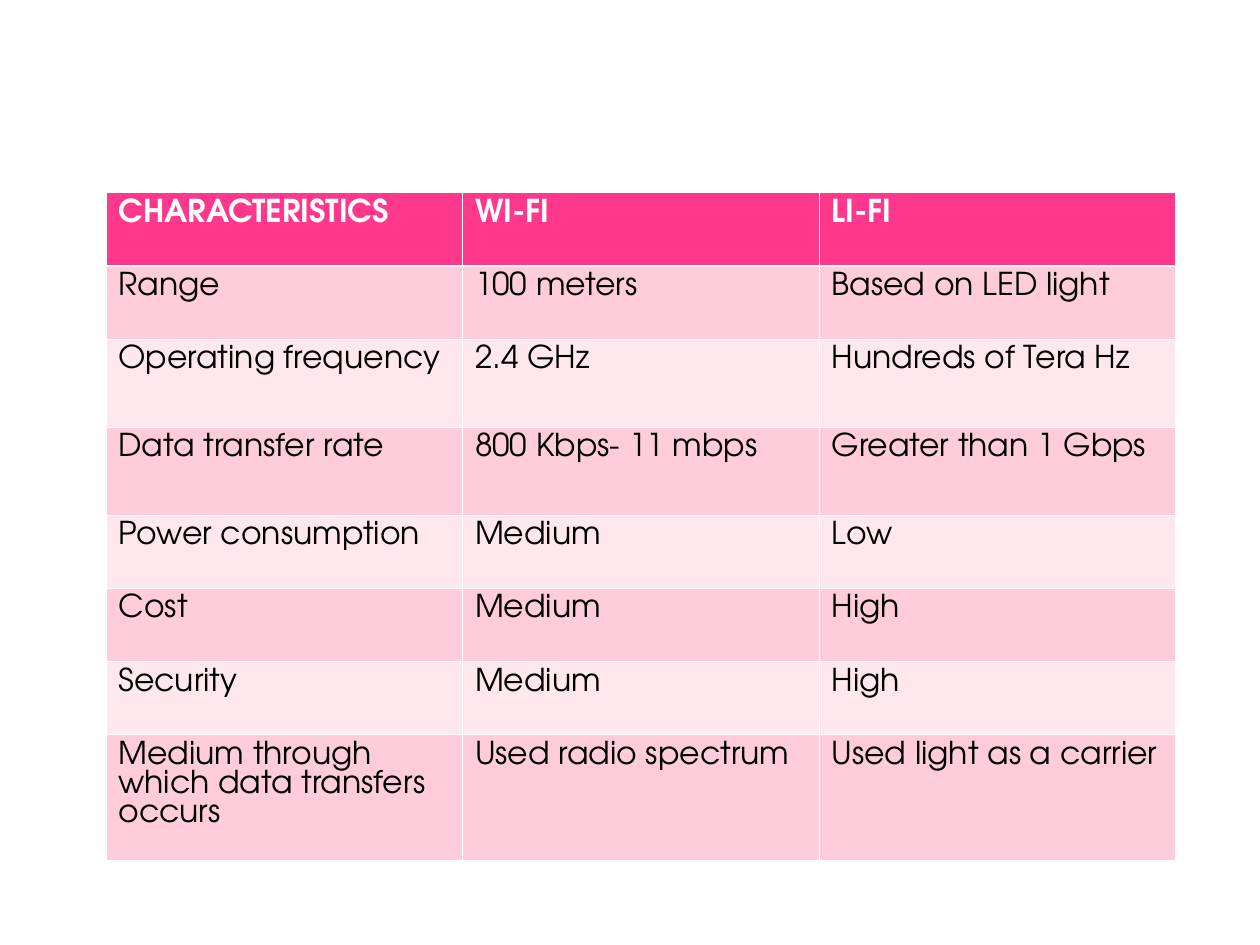
import pptx
import pptx.dml.color
import pptx.util
from dataclasses import dataclass
from lxml import etree
from pptx.oxml.ns import qn

Inches = pptx.util.Inches


@dataclass(frozen=True)
class Theme:
    font: str = "TeX Gyre Adventor"
    size: float = 18
    header_fill: str = "FF388C"
    band_fills: tuple = ("FFCDDA", "FFE8ED")
    header_text: str = "FFFFFF"
    body_text: str = "000000"
    border: str = "FFFFFF"
    thin: float = 0.45
    thick: float = 1.47


class SlideBuilder:
    """Builds slide elements in one consistent style."""

    def __init__(self, slide, theme):
        self.slide = slide
        self.theme = theme

    def border(self, cell, side, width):
        properties = cell._tc.get_or_add_tcPr()
        line = etree.Element(qn("a:" + side), w=str(pptx.util.Pt(width)))
        fill = etree.SubElement(line, qn("a:solidFill"))
        etree.SubElement(fill, qn("a:srgbClr"), val=self.theme.border)
        properties.append(line)

    def cell(self, cell, text, row):
        theme = self.theme
        header = row == 0
        for side in ("lnL", "lnR", "lnT", "lnB"):
            divider = (row, side) in ((0, "lnB"), (1, "lnT"))
            self.border(cell, side, theme.thick if divider else theme.thin)
        fill = theme.header_fill if header else theme.band_fills[(row - 1) % 2]
        cell.fill.solid()
        cell.fill.fore_color.rgb = pptx.dml.color.RGBColor.from_string(fill)
        cell.text_frame.text = text
        font = cell.text_frame.paragraphs[0].runs[0].font
        font.name = theme.font
        font.size = pptx.util.Pt(theme.size)
        font.bold = header
        color = theme.header_text if header else theme.body_text
        font.color.rgb = pptx.dml.color.RGBColor.from_string(color)

    def table(self, left, top, column_width, row_heights, rows):
        columns = len(rows[0])
        shape = self.slide.shapes.add_table(
            len(rows), columns, Inches(left), Inches(top),
            Inches(column_width * columns), Inches(sum(row_heights)))
        table = shape.table
        for column in table.columns:
            column.width = Inches(column_width)
        for index, (height, texts) in enumerate(zip(row_heights, rows)):
            table.rows[index].height = Inches(height)
            for cell, text in zip(table.rows[index].cells, texts):
                self.cell(cell, text, index)


COMPARISON = [
    ("CHARACTERISTICS", "WI-FI", "LI-FI"),
    ("Range", "100 meters", "Based on LED light"),
    ("Operating frequency", "2.4 GHz", "Hundreds of Tera Hz"),
    ("Data transfer rate", "800 Kbps- 11 mbps", "Greater than 1 Gbps"),
    ("Power consumption", "Medium", "Low"),
    ("Cost", "Medium", "High"),
    ("Security", "Medium", "High"),
    ("Medium through which data transfers occurs",
     "Used radio spectrum", "Used light as a carrier"),
]
ROW_HEIGHTS = [0.58, 0.58, 0.7, 0.7, 0.58, 0.58, 0.58, 1]

presentation = pptx.Presentation()
presentation.slide_width = Inches(10)
presentation.slide_height = Inches(7.5)
slide = presentation.slides.add_slide(presentation.slide_layouts[6])
builder = SlideBuilder(slide, Theme())
builder.table(0.84, 1.53, 2.83, ROW_HEIGHTS, COMPARISON)
presentation.save("out.pptx")
